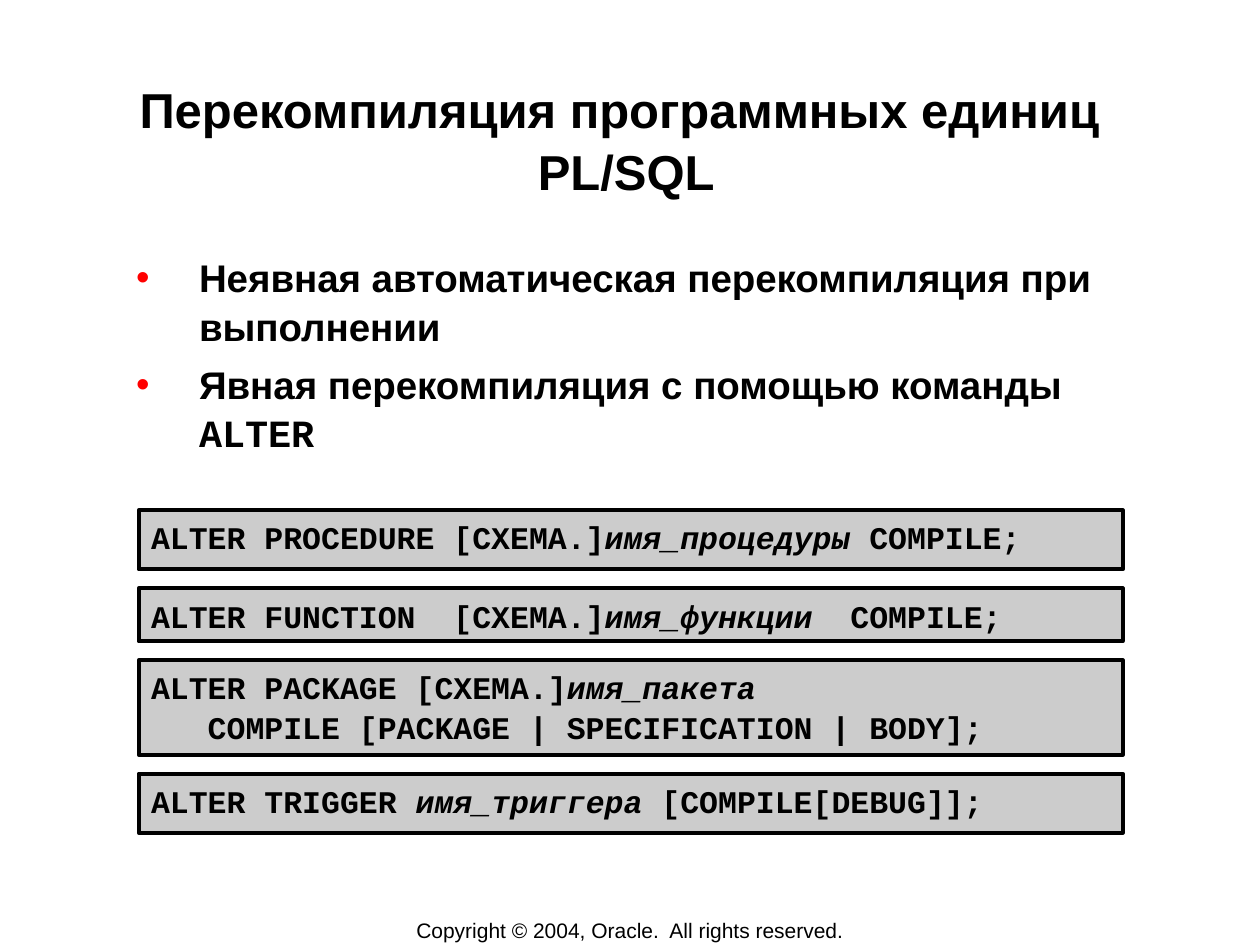
from dataclasses import dataclass

from lxml import etree
from pptx import Presentation
from pptx.dml.color import RGBColor
from pptx.enum.shapes import MSO_SHAPE
from pptx.enum.text import MSO_ANCHOR, MSO_AUTO_SIZE, PP_ALIGN
from pptx.oxml.ns import qn
from pptx.util import Inches, Pt

RECTANGLE = MSO_SHAPE.RECTANGLE
TOP, MIDDLE = MSO_ANCHOR.TOP, MSO_ANCHOR.MIDDLE
LEFT, CENTER = PP_ALIGN.LEFT, PP_ALIGN.CENTER
NO_AUTOFIT = MSO_AUTO_SIZE.NONE


@dataclass(frozen=True)
class Theme:
    sans: str = "Arial"
    mono: str = "Courier New"
    ink: str = "000000"
    bullet: str = "FF0000"
    panel: str = "CCCCCC"
    title_size: float = 28
    body_size: float = 22
    code_size: float = 18
    footer_size: float = 12
    border: float = 2.25
    line_spacing: float = 1.05


THEME = Theme()
SLIDE_WIDTH, SLIDE_HEIGHT = 10, 7.5
CODE_LEFT, CODE_TOP, CODE_WIDTH, CODE_GAP = 1.1, 4.05, 7.81, 0.15

TITLE = "Перекомпиляция программных единиц  PL/SQL"
COPYRIGHT = "Copyright © 2004, Oracle.  All rights reserved."

# Each line is a list of (text, is_code) parts.
BULLETS = [
    [("Неявная автоматическая перекомпиляция при выполнении", False)],
    [("Явная перекомпиляция с помощью команды ", False), ("ALTER", True)],
]

# Each command is a height and its lines of (text, is_variable) parts.
COMMANDS = [
    (0.47, [[("ALTER PROCEDURE [СХЕМА.]", False), ("имя_процедуры", True),
             (" COMPILE;", False)]]),
    (0.42, [[("ALTER FUNCTION  [СХЕМА.]", False), ("имя_функции", True),
             ("  COMPILE;", False)]]),
    (0.75, [[("ALTER PACKAGE [СХЕМА.]", False), ("имя_пакета", True)],
            [("   COMPILE [PACKAGE | SPECIFICATION | BODY];", False)]]),
    (0.47, [[("ALTER TRIGGER ", False), ("имя_триггера", True),
             (" [COMPILE[DEBUG]];", False)]]),
]


def format_font(font, size, family=THEME.sans, bold=True, italic=False):
    font.name = family
    font.size = Pt(size)
    font.bold = bold
    font.italic = italic
    font.color.rgb = RGBColor.from_string(THEME.ink)


def prepare_frame(frame, inset_x, inset_y, anchor=TOP):
    frame.word_wrap = True
    frame.auto_size = NO_AUTOFIT
    frame.vertical_anchor = anchor
    frame.margin_left = frame.margin_right = Inches(inset_x)
    frame.margin_top = frame.margin_bottom = Inches(inset_y)


def paragraph_at(frame, index):
    return frame.paragraphs[0] if index == 0 else frame.add_paragraph()


def add_run(paragraph, text, **style):
    run = paragraph.add_run()
    run.text = text
    format_font(run.font, **style)


def add_bullet(paragraph):
    properties = paragraph._p.get_or_add_pPr()
    properties.set("marL", str(Inches(0.63)))
    properties.set("indent", str(Inches(-0.5)))
    colour = etree.SubElement(properties, qn("a:buClr"))
    etree.SubElement(colour, qn("a:srgbClr"), val=THEME.bullet)
    etree.SubElement(properties, qn("a:buFont"), typeface=THEME.sans)
    etree.SubElement(properties, qn("a:buChar"), char="•")


def set_title(slide):
    title = slide.shapes.title
    title.left, title.top = Inches(0.97), Inches(0.6)
    title.width, title.height = Inches(8), Inches(0.96)
    frame = title.text_frame
    prepare_frame(frame, 0.01, 0.01)
    frame.text = TITLE
    paragraph = frame.paragraphs[0]
    paragraph.alignment = CENTER
    paragraph.line_spacing = THEME.line_spacing
    format_font(paragraph.runs[0].font, THEME.title_size)


def add_bullets(slide):
    box = slide.shapes.add_textbox(Inches(0.94), Inches(1.99), Inches(8.06), Inches(1.57))
    prepare_frame(box.text_frame, 0.01, 0.01)
    for index, parts in enumerate(BULLETS):
        paragraph = paragraph_at(box.text_frame, index)
        add_bullet(paragraph)
        paragraph.line_spacing = THEME.line_spacing
        if index:
            paragraph.space_before = Pt(5.5)
        for text, is_code in parts:
            add_run(paragraph, text, size=THEME.body_size,
                    family=THEME.mono if is_code else THEME.sans)


def add_command(slide, top, height, lines):
    panel = slide.shapes.add_shape(RECTANGLE, Inches(CODE_LEFT), Inches(top),
                                   Inches(CODE_WIDTH), Inches(height))
    panel.shadow.inherit = False
    panel.fill.solid()
    panel.fill.fore_color.rgb = RGBColor.from_string(THEME.panel)
    panel.line.color.rgb = RGBColor.from_string(THEME.ink)
    panel.line.width = Pt(THEME.border)
    prepare_frame(panel.text_frame, 0.1, 0.05)
    for index, parts in enumerate(lines):
        paragraph = paragraph_at(panel.text_frame, index)
        paragraph.alignment = LEFT
        paragraph.line_spacing = THEME.line_spacing
        for text, is_variable in parts:
            add_run(paragraph, text, size=THEME.code_size,
                    family=THEME.mono, italic=is_variable)


def add_copyright(slide):
    width, height = 4.49, 0.21
    box = slide.shapes.add_textbox(Inches((SLIDE_WIDTH - width) / 2), Inches(7.28),
                                   Inches(width), Inches(height))
    prepare_frame(box.text_frame, 0.1, 0.05, MIDDLE)
    paragraph = box.text_frame.paragraphs[0]
    paragraph.alignment = CENTER
    add_run(paragraph, COPYRIGHT, size=THEME.footer_size, bold=False)


def main():
    presentation = Presentation()
    presentation.slide_width = Inches(SLIDE_WIDTH)
    presentation.slide_height = Inches(SLIDE_HEIGHT)
    title_only = presentation.slide_layouts[5]
    slide = presentation.slides.add_slide(title_only)

    add_copyright(slide)
    set_title(slide)
    add_bullets(slide)
    top = CODE_TOP
    for height, lines in COMMANDS:
        add_command(slide, top, height, lines)
        top += height + CODE_GAP
    presentation.save("out.pptx")


if __name__ == "__main__":
    main()
